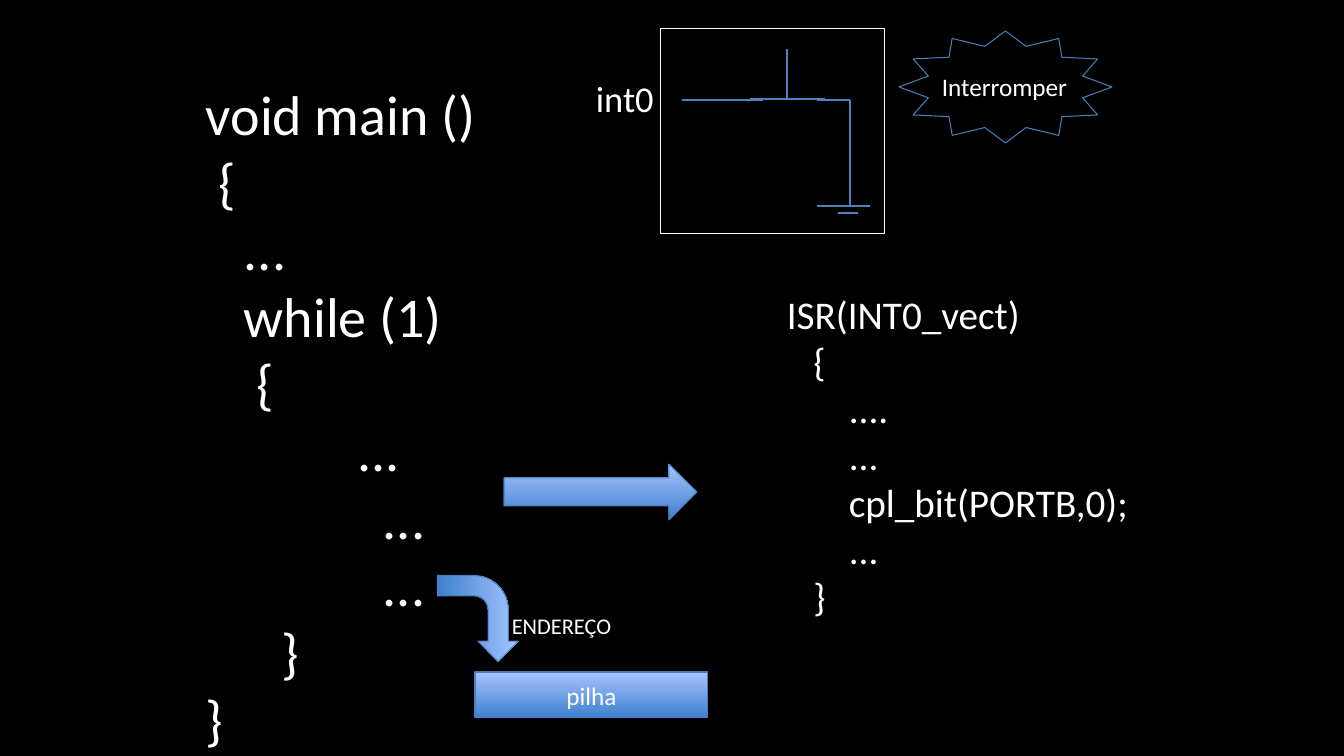
from lxml.etree import SubElement
from pptx import Presentation
from pptx.dml.color import RGBColor
from pptx.enum.shapes import MSO_CONNECTOR, MSO_SHAPE
from pptx.enum.text import MSO_ANCHOR, MSO_AUTO_SIZE, PP_ALIGN
from pptx.oxml.ns import qn
from pptx.util import Emu, Pt

MAIN_CODE = """void main ()
 {
   ...
   while (1)
    {
            ...
              ...
              ...
      }
}"""

ISR_CODE = """ISR(INT0_vect)
   {
       ....
       ...
       cpl_bit(PORTB,0);
       ...
   }"""

SWITCH_WIRES = [
    (682, 100, 763, 100),
    (817, 100, 850, 100),
    (850, 100, 850, 206),
    (817, 206, 870, 206),
    (838, 213, 858, 213),
    (750, 99, 825, 99),
    (787, 99, 787, 49),
]


def px(length):
    return Emu(round(length * 914400 / 100.8))


def color(code):
    return RGBColor.from_string(code)


class Board:
    font = "Calibri"
    ink = "FFFFFF"
    ground = "000000"
    edge = "4B7EBC"
    wire_color = "4F81BD"
    shades = ("3F80CE", "A4C4FF")

    def __init__(self, slide):
        self.slide = slide
        slide.background.fill.solid()
        slide.background.fill.fore_color.rgb = color(self.ground)

    def fill_text(self, frame, content, size, align):
        for number, line in enumerate(content.split("\n")):
            paragraph = frame.add_paragraph() if number else frame.paragraphs[0]
            paragraph.text = line
            paragraph.alignment = align
            paragraph.font.name = self.font
            paragraph.font.size = Pt(size)
            paragraph.font.color.rgb = color(self.ink)

    def text(self, box, content, size, wrap=False):
        frame = self.slide.shapes.add_textbox(*map(px, box)).text_frame
        frame.word_wrap = wrap
        frame.auto_size = MSO_AUTO_SIZE.SHAPE_TO_FIT_TEXT
        self.fill_text(frame, content, size, PP_ALIGN.LEFT)

    def outlined(self, kind, box, edge):
        shape = self.slide.shapes.add_shape(kind, *map(px, box))
        shape.shadow.inherit = False
        shape.fill.solid()
        shape.fill.fore_color.rgb = color(self.ground)
        shape.line.color.rgb = color(edge)
        shape.line.width = Pt(0.75)
        return shape

    def shaded(self, kind, box):
        shape = self.outlined(kind, box, self.edge)
        shape.fill.gradient()
        shape.fill.gradient_angle = 90
        for stop, shade in zip(shape.fill.gradient_stops, self.shades):
            stop.color.rgb = color(shade)
        return shape

    def labelled(self, kind, box, content, size):
        frame = self.shaded(kind, box).text_frame
        frame.vertical_anchor = MSO_ANCHOR.MIDDLE
        self.fill_text(frame, content, size, PP_ALIGN.CENTER)

    def wire(self, ends):
        line = self.slide.shapes.add_connector(MSO_CONNECTOR.STRAIGHT, *map(px, ends))
        line.line.color.rgb = color(self.wire_color)
        line.line.width = Pt(2)
        SubElement(line._element.spPr, qn("a:effectLst"))


def main():
    deck = Presentation()
    deck.slide_width, deck.slide_height = px(1344), px(756)
    board = Board(deck.slides.add_slide(deck.slide_layouts[6]))

    board.text((196, 75, 293, 720), MAIN_CODE, 40)

    board.text((586, 71, 79, 54), "int0", 26)
    board.outlined(MSO_SHAPE.RECTANGLE, (661, 29, 224, 205), board.ink)
    for ends in SWITCH_WIRES:
        board.wire(ends)

    board.outlined(MSO_SHAPE.STAR_12_POINT, (899, 31, 213, 112), board.edge)
    board.text((932, 66, 147, 40), "Interromper", 18)

    board.text((777, 285, 367, 373), ISR_CODE, 28)

    board.labelled(MSO_SHAPE.RECTANGLE, (475, 672, 233, 46), "pilha", 18)
    board.shaded(MSO_SHAPE.RIGHT_ARROW, (504, 464, 193, 56))
    push_arrow = board.shaded(MSO_SHAPE.BENT_ARROW, (435, 578, 86, 81))
    push_arrow.rotation = 90
    push_arrow.adjustments[3] = 0.425
    board.text((502, 607, 202, 37), "ENDEREÇO", 16, wrap=True)

    deck.save("out.pptx")


if __name__ == "__main__":
    main()
